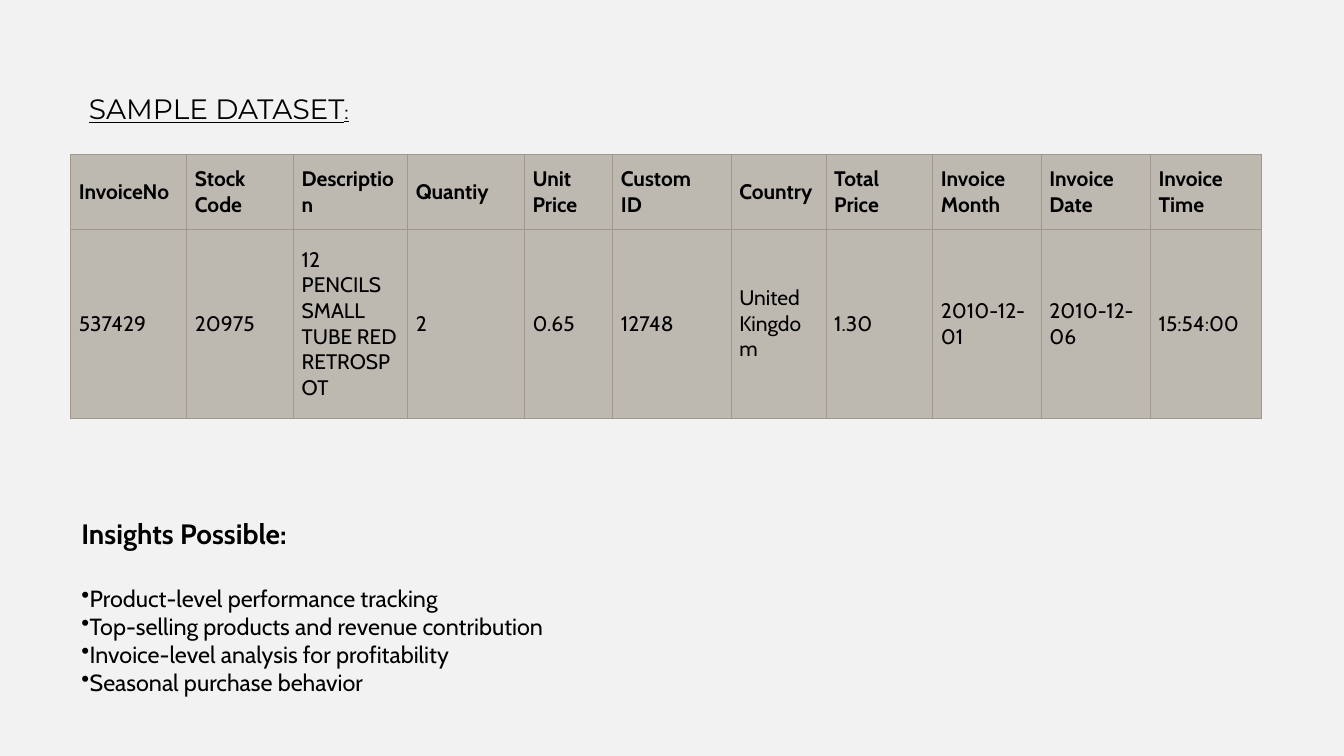
"""Build the sample dataset slide: a title, one record as a table, and the insights it allows."""
from dataclasses import dataclass

import pptx
import pptx.dml.color
import pptx.enum.text
import pptx.util
from lxml import etree
from pptx.oxml.ns import qn

Cm = pptx.util.Cm

TITLE = "SAMPLE DATASET"
FIELDS = [
    ("InvoiceNo", "537429", 3.51),
    ("Stock\nCode", "20975", 3.23),
    ("Description", "12 PENCILS SMALL TUBE RED RETROSPOT", 3.45),
    ("Quantiy", "2", 3.53),
    ("Unit\nPrice", "0.65", 2.67),
    ("Custom\nID", "12748", 3.58),
    ("Country", "United Kingdom", 2.87),
    ("Total\nPrice", "1.30", 3.23),
    ("Invoice\nMonth", "2010-12-01", 3.28),
    ("Invoice Date", "2010-12-06", 3.3),
    ("Invoice Time", "15:54:00", 3.35),
]
ROW_HEIGHTS = (2.26, 5.72)
INSIGHTS_HEADING = "Insights Possible:"
INSIGHTS = [
    "Product-level performance tracking",
    "Top-selling products and revenue contribution",
    "Invoice-level analysis for profitability",
    "Seasonal purchase behavior",
]


@dataclass(frozen=True)
class Theme:
    background: str = "F2F2F2"
    cell: str = "BDB8B0"
    border: str = "A0988C"
    ink: str = "000000"
    body_font: str = "Cabin"
    title_font: str = "Montserrat"
    heading_size: int = 24
    list_size: int = 20
    table_size: int = 18
    border_width: float = 0.5


THEME = Theme()


def color(value):
    return pptx.dml.color.RGBColor.from_string(value)


def write(para, text, size, font=THEME.body_font, bold=False, underline=False):
    span = para.add_run()
    span.text = text
    span.font.name = font
    span.font.size = pptx.util.Pt(size)
    span.font.bold = bold
    span.font.underline = underline
    span.font.color.rgb = color(THEME.ink)


def add_box(page, left, top, width, height):
    box = page.shapes.add_textbox(Cm(left), Cm(top), Cm(width), Cm(height))
    box.text_frame.word_wrap = True
    return box.text_frame


def add_bullet(para):
    properties = para._p.get_or_add_pPr()
    properties.set("marL", "0")
    properties.set("indent", "0")
    etree.SubElement(properties, qn("a:buChar"), char="•")


def add_borders(cell):
    properties = cell._tc.get_or_add_tcPr()
    width = str(pptx.util.Pt(THEME.border_width))
    for position, side in enumerate(("a:lnL", "a:lnR", "a:lnT", "a:lnB")):
        line = etree.Element(qn(side), w=width)
        fill = etree.SubElement(line, qn("a:solidFill"))
        etree.SubElement(fill, qn("a:srgbClr"), val=THEME.border)
        properties.insert(position, line)


def fill_cell(cell, text, bold):
    cell.fill.solid()
    cell.fill.fore_color.rgb = color(THEME.cell)
    cell.vertical_anchor = pptx.enum.text.MSO_ANCHOR.MIDDLE
    add_borders(cell)
    for index, line in enumerate(text.split("\n")):
        frame = cell.text_frame
        para = frame.add_paragraph() if index else frame.paragraphs[0]
        write(para, line, THEME.table_size, bold=bold)


def add_dataset(page):
    width = sum(field[2] for field in FIELDS)
    frame = page.shapes.add_table(
        len(ROW_HEIGHTS), len(FIELDS), Cm(2.13), Cm(4.67), Cm(width), Cm(sum(ROW_HEIGHTS)))
    table = frame.table
    for row, height in zip(table.rows, ROW_HEIGHTS):
        row.height = Cm(height)
    for index, (name, value, column_width) in enumerate(FIELDS):
        table.columns[index].width = Cm(column_width)
        fill_cell(table.cell(0, index), name, bold=True)
        fill_cell(table.cell(1, index), value, bold=False)


def add_insights(page):
    frame = add_box(page, 2.21, 15.49, 20.32, 5.74)
    heading = frame.paragraphs[0]
    heading.space_after = pptx.util.Pt(29)
    write(heading, INSIGHTS_HEADING, THEME.heading_size, bold=True)
    for insight in INSIGHTS:
        para = frame.add_paragraph()
        add_bullet(para)
        write(para, insight, THEME.list_size)


def main():
    deck = pptx.Presentation()
    deck.slide_width, deck.slide_height = Cm(40.64), Cm(22.86)
    page = deck.slides.add_slide(deck.slide_layouts[6])
    page.background.fill.solid()
    page.background.fill.fore_color.rgb = color(THEME.background)

    title = add_box(page, 2.44, 2.64, 10.97, 1.27).paragraphs[0]
    write(title, TITLE, THEME.heading_size, font=THEME.title_font, underline=True)
    write(title, ":", THEME.table_size, underline=True)
    add_dataset(page)
    add_insights(page)
    deck.save("out.pptx")


if __name__ == "__main__":
    main()
